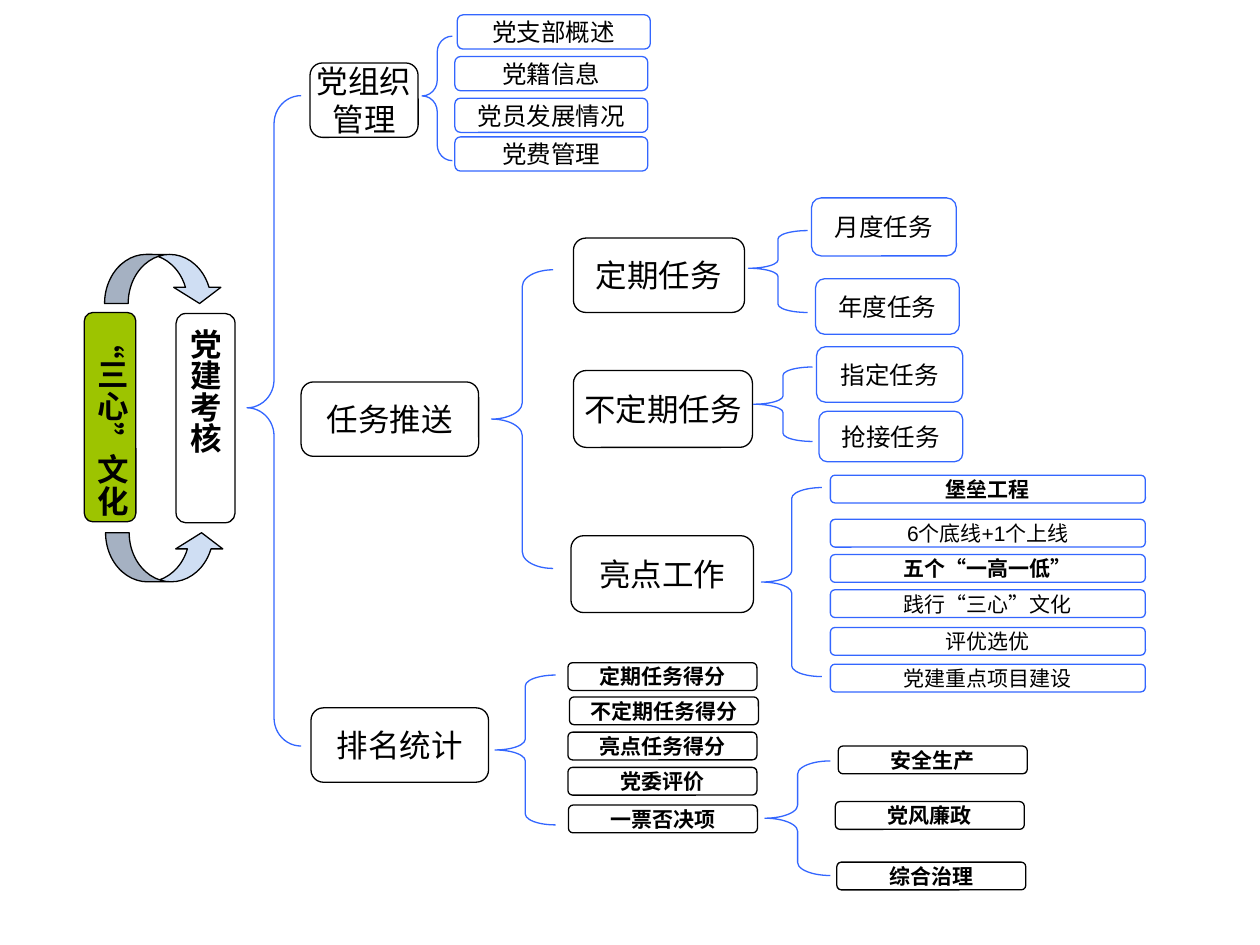
from pptx import Presentation
from pptx.dml.color import RGBColor
from pptx.enum.shapes import MSO_SHAPE as Shape
from pptx.enum.text import MSO_ANCHOR as Anchor, PP_ALIGN as Align
from pptx.util import Cm, Pt

BLACK, BLUE, GREEN, PALE = "000000", "3366FF", "9DC400", "CFDEF3"


def color(code):
    return RGBColor.from_string(code)


def add_outline(page, kind, origin, box, line, fill=None):
    """Add a thin-lined shape; box is left, top, width, height from origin."""
    left, top, width, height = box
    shape = page.shapes.add_shape(kind, Cm(origin[0] + left), Cm(origin[1] + top),
                                  Cm(width), Cm(height))
    shape.shadow.inherit = False
    shape.line.color.rgb = color(line)
    shape.line.width = Pt(0.75)
    if fill:
        shape.fill.solid()
        shape.fill.fore_color.rgb = color(fill)
    else:
        shape.fill.background()
    return shape


def add_node(page, origin, box, text, size=18, bold=False, line=BLACK, fill=None,
             vertical=False):
    node = add_outline(page, Shape.ROUNDED_RECTANGLE, origin, box, line, fill)
    frame = node.text_frame
    frame.text = text
    frame.word_wrap = False
    frame.vertical_anchor = Anchor.MIDDLE
    if vertical:
        frame._txBody.bodyPr.set("vert", "eaVert")
    for para in frame.paragraphs:
        para.alignment = Align.CENTER
        para.font.name = "Arial"
        para.font.size = Pt(size)
        para.font.bold = bold
        para.font.color.rgb = color(BLACK)


def add_brace(page, origin, box, curl, point=0.5):
    brace = add_outline(page, Shape.LEFT_BRACE, origin, box, BLUE)
    brace.adjustments[0] = curl
    brace.adjustments[1] = point


def add_cycle(page, origin):
    """Culture and assessment pillars with arrows above and below."""
    add_node(page, origin, (1.85, 1.19, 1.19, 4.22), "党建考核", bold=True, vertical=True)
    add_node(page, origin, (0, 1.17, 1.04, 4.22), "“三心”文化", bold=True,
             fill=GREEN, vertical=True)
    arrows = [((0.41, 0, 2.39, 0.99), True), ((0.43, 5.61, 2.41, 0.99), False)]
    for box, flipped in arrows:
        arrow = add_outline(page, Shape.CURVED_UP_ARROW, origin, box, BLACK, PALE)
        for index, value in enumerate((0.48, 0.96, 0.33)):
            arrow.adjustments[index] = value
        if flipped:
            arrow.element.spPr.xfrm.set("flipV", "1")


def add_branch(page, origin, heading, brace, leaves=(), leaf_size=(0, 0),
               heading_style=None, **leaf_style):
    """One heading, its brace, and leaves given as (text, left, top)."""
    text, box = heading
    add_node(page, origin, box, text, **(heading_style or {}))
    add_brace(page, origin, *brace)
    for text, left, top, *own_size in leaves:
        bold = text in BOLD_LEAVES
        add_node(page, origin, (left, top, *(own_size or leaf_size)), text,
                 bold=bold, **leaf_style)


BOLD_LEAVES = {"堡垒工程", "五个“一高一低”", "定期任务得分", "不定期任务得分",
               "亮点任务得分", "党委评价", "安全生产", "党风廉政", "综合治理"}


def main():
    deck = Presentation()
    deck.slide_width, deck.slide_height = Cm(25.4), Cm(19.05)
    page = deck.slides.add_slide(deck.slide_layouts[6])

    # Root and trunk
    add_cycle(page, (1.7, 5.13))
    add_brace(page, (4.98, 1.93), (0, 0, 1.09, 13.11), 0.52, 0.48)

    # Party organisation
    add_branch(page, (6.25, 0.3), ("党组织\n管理", (0, 0.97, 2.18, 1.5)),
               ((2.26, 0.43, 0.61, 2.51), 0.52, 0.48),
               [("党支部概述", 2.97, 0), ("党籍信息", 2.92, 0.84),
                ("党员发展情况", 2.92, 1.68), ("党费管理", 2.92, 2.46)],
               (3.89, 0.69), size=14, line=BLUE)

    # Task assignment and its three kinds of work
    add_branch(page, (6.07, 5.44), ("任务推送", (0, 2.26, 3.58, 1.5)),
               ((3.84, 0, 1.24, 6.02), 0.27))
    add_branch(page, (11.56, 3.99), ("定期任务", (0, 0.81, 3.45, 1.5)),
               ((3.53, 0.66, 1.19, 1.65), 0.14, 0.46),
               [("月度任务", 4.8, 0, 2.92, 1.17), ("年度任务", 4.88, 1.63, 2.9, 1.12)],
               size=14, line=BLUE)
    add_branch(page, (11.56, 6.99), ("不定期任务", (0, 0.48, 3.61, 1.55)),
               ((3.63, 0.41, 1.19, 1.5), 0.14),
               [("指定任务", 4.9, 0, 2.95, 1.12), ("抢接任务", 4.95, 1.3, 2.9, 1.02)],
               size=14, line=BLUE)
    add_branch(page, (11.51, 9.58), ("亮点工作", (0, 1.22, 3.68, 1.55)),
               ((3.84, 0.25, 1.22, 3.81), 0.18),
               [("堡垒工程", 5.23, 0), ("6个底线+1个上线", 5.23, 0.89),
                ("五个“一高一低”", 5.23, 1.6), ("践行“三心”文化", 5.23, 2.31),
                ("评优选优", 5.23, 3.07), ("党建重点项目建设", 5.23, 3.81)],
               (6.35, 0.56), size=12, line=BLUE)

    # Ranking, with the veto item branching further
    add_branch(page, (6.27, 13.36), ("排名统计", (0, 0.91, 3.58, 1.5)),
               ((3.71, 0.25, 1.22, 3.02), 0.18),
               [("定期任务得分", 5.18, 0), ("不定期任务得分", 5.21, 0.69),
                ("亮点任务得分", 5.18, 1.4), ("党委评价", 5.18, 2.11)],
               (3.81, 0.56), size=12)
    add_branch(page, (11.46, 15.04), ("一票否决项", (0, 1.19, 3.81, 0.56)),
               ((3.96, 0.3, 1.32, 2.31), 0.2),
               [("安全生产", 5.44, 0), ("党风廉政", 5.38, 1.12), ("综合治理", 5.41, 2.34)],
               (3.81, 0.56), heading_style={"size": 12, "bold": True}, size=12)

    deck.save("out.pptx")


if __name__ == "__main__":
    main()
